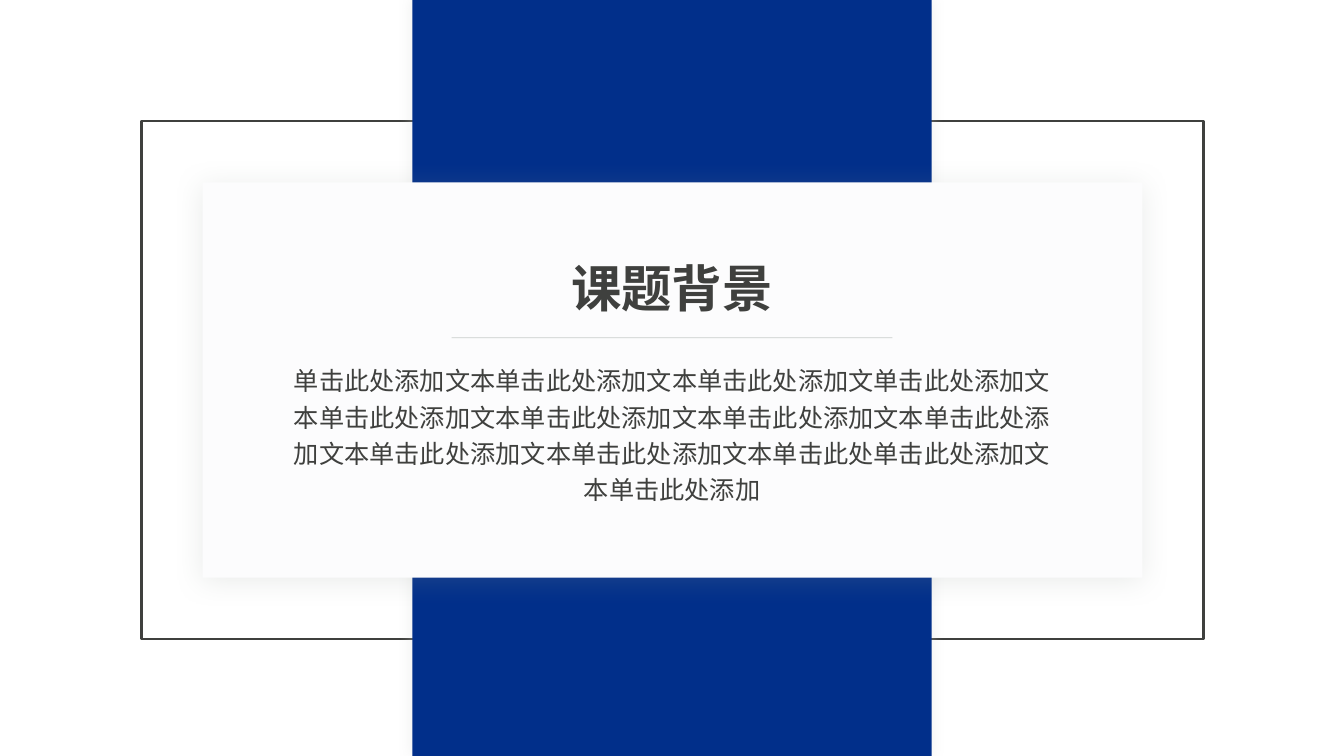
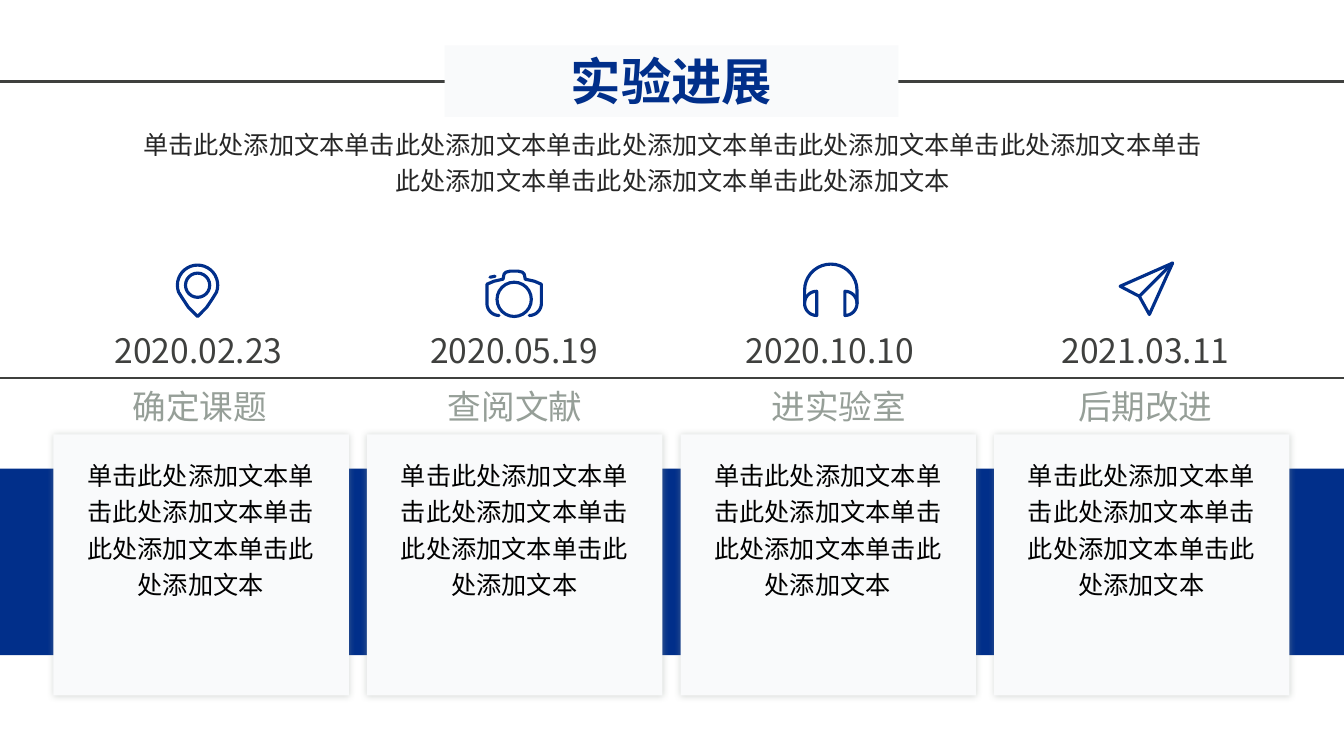
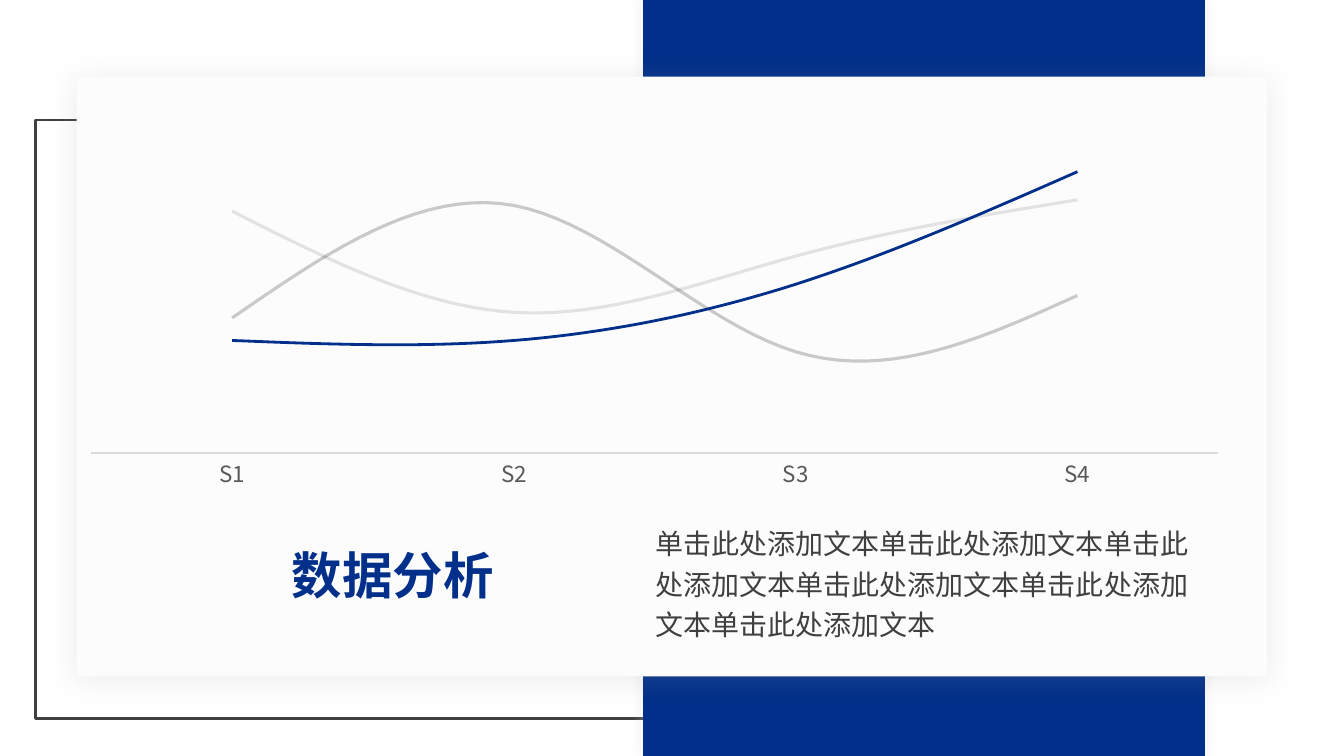
"""Build three slides: a section page, a timeline and a line chart."""
from math import cos, radians, sin

from lxml import etree
from pptx import Presentation
from pptx.chart.data import CategoryChartData
from pptx.dml.color import RGBColor
from pptx.enum.chart import XL_CHART_TYPE, XL_TICK_MARK
from pptx.enum.shapes import MSO_CONNECTOR, MSO_SHAPE
from pptx.enum.text import MSO_ANCHOR, PP_ALIGN
from pptx.oxml import parse_xml
from pptx.oxml.ns import nsdecls, qn
from pptx.util import Inches, Pt

RECT, OVAL = MSO_SHAPE.RECTANGLE, MSO_SHAPE.OVAL
LEFT, CENTER = PP_ALIGN.LEFT, PP_ALIGN.CENTER
TOP = MSO_ANCHOR.TOP
LINE = XL_CHART_TYPE.LINE
NO_TICK = XL_TICK_MARK.NONE
STRAIGHT = MSO_CONNECTOR.STRAIGHT

FONT = "Noto Sans CJK SC"
BLUE, DARK, GRAY, BLACK = "012F8A", "3F403E", "969F98", "000000"
PANEL, CARD = "FCFCFD", "F9FAFB"
BAND_GLOW = ("D5D7D5", 40, 10, 0, 0)
PANEL_GLOW = (GRAY, 20, 20, 3, 90)
CARD_GLOW = (GRAY, 40, 5, 0, 0)
PHRASE = "单击此处添加文本"


def rgb(code):
    return RGBColor.from_string(code)


def put(item, values):
    for name, value in values.items():
        setattr(item, name, value)


def fade(node, share):
    for color in node.iter(qn("a:srgbClr")):
        etree.SubElement(color, qn("a:alpha"), val=str(share * 1000))


def arc(x, y, r, start, end, step=10):
    turns = range(start, end + (1 if end > start else -1), step if end > start else -step)
    return [(x + r * cos(radians(t)), y + r * sin(radians(t))) for t in turns]


def mirror(points, axis):
    return [(2 * axis - x, y) for x, y in reversed(points)]


class Deck:
    """Hold the shared style and the current slide."""

    def __init__(self):
        self.show = Presentation()
        put(self.show, {"slide_width": Inches(13.33), "slide_height": Inches(7.5)})

    def page(self):
        self.slide = self.show.slides.add_slide(self.show.slide_layouts[6])
        self.shapes = self.slide.shapes
        put(self.slide.background.fill, {}) 
        self.slide.background.fill.solid()
        self.slide.background.fill.fore_color.rgb = rgb("FFFFFF")

    def paint(self, shape, fill=None, line=None, width=2, glow=None):
        shape.shadow.inherit = False
        if fill:
            shape.fill.solid()
            shape.fill.fore_color.rgb = rgb(fill)
        else:
            shape.fill.background()
        if line:
            shape.line.color.rgb = rgb(line)
            shape.line.width = Pt(width)
        else:
            shape.line.fill.background()
        if glow:
            color, share, blur, far, turn = glow
            effect = shape.element.spPr.find(qn("a:effectLst"))
            cast = etree.SubElement(effect, qn("a:outerShdw"), {
                "blurRad": str(Pt(blur)), "dist": str(Pt(far)),
                "dir": str(turn * 60000), "algn": "ctr", "rotWithShape": "0"})
            etree.SubElement(cast, qn("a:srgbClr"), val=color)
            fade(cast, share)

    def box(self, at, kind=RECT, **look):
        shape = self.shapes.add_shape(kind, *map(Inches, at))
        self.paint(shape, **look)

    def text(self, at, words, size=18, color=DARK, bold=False, align=CENTER, gap=1.0):
        frame = self.shapes.add_textbox(*map(Inches, at)).text_frame
        put(frame, {"word_wrap": True, "vertical_anchor": TOP})
        para = frame.paragraphs[0]
        put(para, {"alignment": align, "line_spacing": gap})
        run = para.add_run()
        run.text = words
        put(run.font, {"name": FONT, "size": Pt(size), "bold": bold})
        run.font.color.rgb = rgb(color)
        etree.SubElement(run.font._element, qn("a:ea"), typeface=FONT)

    def title(self, at, words, color=BLUE):
        self.text(at, words, 36, color, True)

    def body(self, at, words, **look):
        self.text(at, words, gap=1.2, **look)

    def rule(self, start, end, color, width, share):
        line = self.shapes.add_connector(STRAIGHT, *map(Inches, start + end))
        line.line.color.rgb = rgb(color)
        line.line.width = Pt(width)
        props = line.element.spPr
        fade(props, share)
        etree.SubElement(props, qn("a:effectLst"))

    def stroke(self, points, close=False):
        spots = [(Inches(x), Inches(y)) for x, y in points]
        pen = self.shapes.build_freeform(*spots[0], scale=1.0)
        pen.add_line_segments(spots[1:], close=close)
        shape = pen.convert_to_shape()
        self.paint(shape, line=BLUE, width=2.25)
        edge = shape.element.spPr.find(qn("a:ln"))
        edge.set("cap", "rnd")
        etree.SubElement(edge, qn("a:round"))

    def ring(self, x, y, r):
        self.box((x - r, y - r, 2 * r, 2 * r), OVAL, line=BLUE, width=2.25)

    def stage(self, frame, band, panel):
        self.box(frame, line=DARK)
        self.box(band, fill=BLUE, glow=BAND_GLOW)
        self.box(panel, fill=PANEL, glow=PANEL_GLOW)

    def graph(self, at, names, rows, plot):
        data = CategoryChartData()
        data.categories = names
        for index, row in enumerate(rows, 1):
            data.add_series(f"Series {index}", row[0])
        chart = self.shapes.add_chart(LINE, *map(Inches, at), data).chart
        put(chart, {"has_legend": False, "has_title": False})
        put(chart.font, {"name": FONT, "size": Pt(10)})
        put(chart.value_axis, {"visible": False, "has_major_gridlines": False,
                               "minimum_scale": 0, "maximum_scale": 120})
        axis = chart.category_axis
        put(axis, {"major_tick_mark": NO_TICK, "minor_tick_mark": NO_TICK})
        put(axis.tick_labels.font, {"name": FONT, "size": Pt(16)})
        axis.tick_labels.font.color.rgb = rgb("595959")
        axis.format.line.color.rgb = rgb("D9D9D9")
        axis.format.line.width = Pt(0.75)
        chart.plots[0].vary_by_categories = False
        for series, (_, color, width, share) in zip(chart.plots[0].series, rows):
            series.smooth = True
            series.format.line.color.rgb = rgb(color)
            series.format.line.width = Pt(width)
            if share < 100:
                fade(series._element, share)
        area = chart.element.find(".//" + qn("c:plotArea"))
        for old in area.findall(qn("c:layout")):
            area.remove(old)
        sizes = "".join(f'<c:{k} val="{v}"/>' for k, v in zip("xywh", plot))
        area.insert(0, parse_xml(
            f'<c:layout {nsdecls("c")}><c:manualLayout><c:layoutTarget val="inner"/>'
            f'<c:xMode val="edge"/><c:yMode val="edge"/>{sizes}</c:manualLayout></c:layout>'))


def pin(deck):
    x, y = 1.96, 2.83
    side = [(2.11, 2.96), (2.05, 3.05)]
    deck.stroke(arc(x, y, 0.2, 160, 380) + side + [(x, 3.14)] + mirror(side, x), True)
    deck.ring(x, y, 0.12)


def camera(deck):
    x = 5.1
    half = arc(4.95, 3.01, 0.12, 90, 180) + [
        (4.83, 2.82), (4.9, 2.79), (4.99, 2.77), (5, 2.72), (5.02, 2.7), (5.06, 2.69)]
    deck.stroke(half + mirror(half, x))
    deck.stroke([(4.86, 2.75), (4.91, 2.74)])
    deck.ring(x, 2.97, 0.17)


def phones(deck):
    x = 8.24
    deck.stroke([(7.98, 3.01)] + arc(x, 2.88, 0.26, 180, 360) + [(8.5, 3.01)])
    cup = arc(8.1, 3.01, 0.12, 90, 270)
    deck.stroke(cup, True)
    deck.stroke(mirror(cup, x), True)


def plane(deck):
    tip, fold = (11.63, 2.61), (11.3, 2.94)
    deck.stroke([tip, (11.11, 2.84), fold, (11.4, 3.12)], True)
    deck.stroke([fold, tip])


deck = Deck()

deck.page()
deck.stage((1.4, 1.2, 10.54, 5.14), (4.09, 0, 5.15, 7.5), (2.01, 1.81, 9.32, 3.92))
deck.body((2.74, 3.52, 7.85, 1.53),
          PHRASE * 2 + PHRASE[:-1] + PHRASE * 7 + PHRASE[:4] + PHRASE + PHRASE[:6])
deck.title((3.51, 2.5, 6.31, 0.71), "课题背景", DARK)
deck.rule((8.85, 3.35), (4.48, 3.35), GRAY, 0.5, 50)

deck.page()
deck.box((-0.78, 0.81, 14.9, 2.94), line=DARK)
deck.box((0, 4.65, 13.33, 1.85), fill=BLUE)
heading = (4.41, 0.45, 4.5, 0.71)
deck.box(heading, fill=CARD)
deck.title(heading, "实验进展")
deck.body((1.24, 1.17, 10.86, 1.17), PHRASE * 8, color="262626")
steps = [("2020.02.23", "确定课题", 1.98, pin), ("2020.05.19", "查阅文献", 5.11, camera),
         ("2020.10.10", "进实验室", 8.32, phones), ("2021.03.11", "后期改进", 11.36, plane)]
for index, (date, label, middle, icon) in enumerate(steps):
    deck.text((1.01 + 3.13 * index, 3.22, 1.92, 0.5), date, 24)
    deck.text((middle - 0.89, 3.78, 1.78, 0.5), label, 24, GRAY)
    icon(deck)
    left = 0.53 + 3.11 * index
    deck.box((left, 4.31, 2.93, 2.59), fill=CARD, glow=CARD_GLOW)
    deck.body((left + 0.2, 4.46, 2.52, 1.53), PHRASE * 4, color=BLACK)

deck.page()
deck.stage((0.35, 1.19, 8.07, 5.94), (6.38, 0, 5.57, 7.5), (0.76, 0.76, 11.81, 5.95))
deck.graph((0.9, 0.91, 11.53, 3.94), ["S1", "S2", "S3", "S4"],
           [((86, 50, 70, 90), BLACK, 2.25, 10),
            ((48, 88, 36, 56), BLACK, 2.25, 20),
            ((40, 40, 60, 100), BLUE, 2, 100)], (0, 0.06, 0.97, 0.85))
deck.title((1.31, 5.35, 5.17, 0.71), "数据分析")
deck.body((6.4, 5.11, 5.72, 2.09), PHRASE * 6, size=20, align=LEFT)

deck.show.save("out.pptx")
